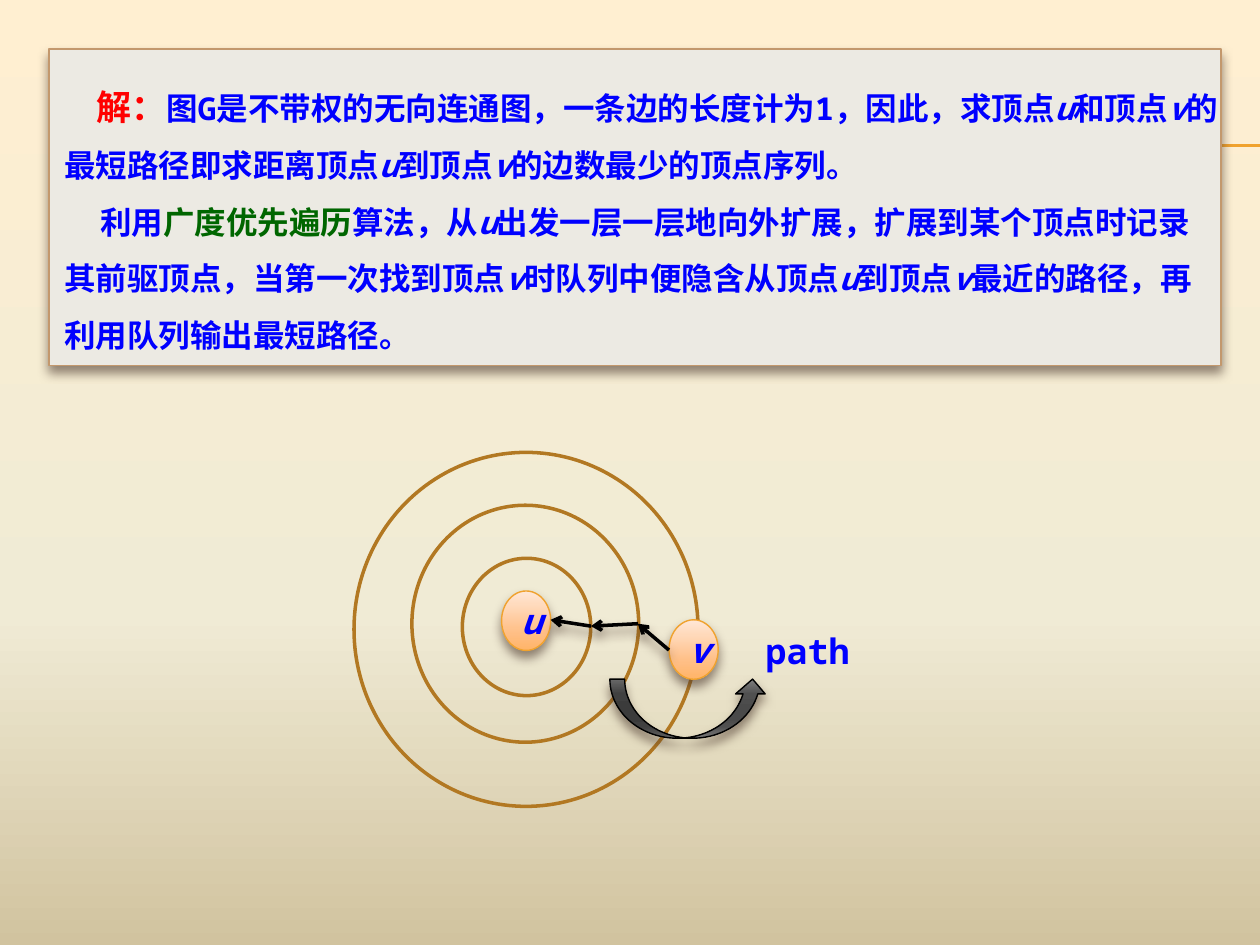
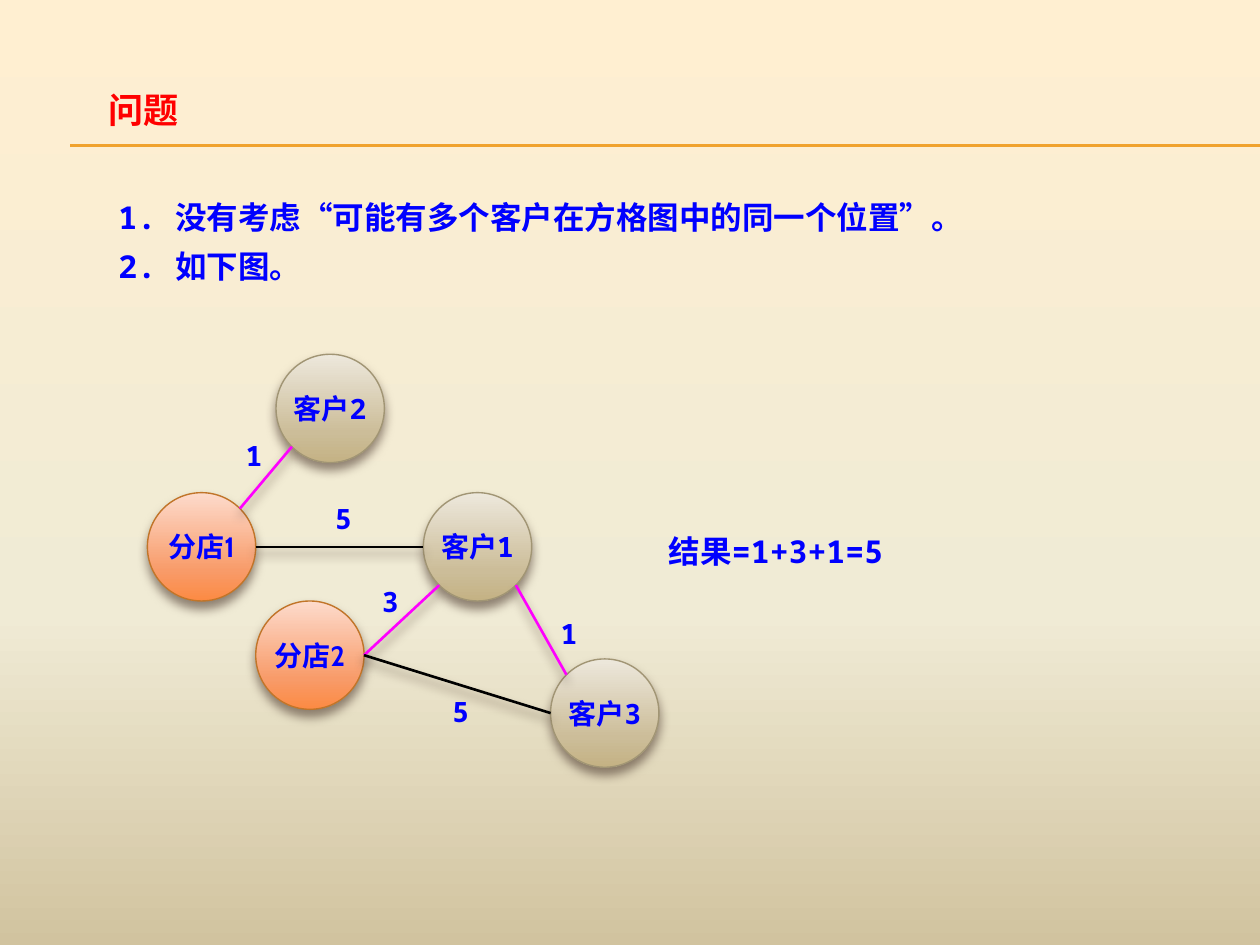
import math

import pptx
import pptx.dml.color
import pptx.enum.shapes
import pptx.enum.text
import pptx.oxml.ns
import pptx.util
from lxml import etree

Pt = pptx.util.Pt
qn = pptx.oxml.ns.qn
SHAPES = pptx.enum.shapes.MSO_SHAPE
ALIGN = pptx.enum.text.PP_ALIGN
ANCHOR = pptx.enum.text.MSO_ANCHOR

# Shared colours and fonts
BLUE, RED, GREEN, BLACK = "0000FF", "FF0000", "006600", "000000"
PINK, AMBER, BROWN, SHADOW = "FF00FF", "F0A22E", "B27822", "4E3B30"
BACKGROUND = [(0, "FFEFD1"), (65, "F0EBD5"), (100, "D1C39F")]
PEACH = [(0, "FFE7D7"), (72, "FFBE84"), (100, "FFB468")]
ORANGE = [(0, "FDDBCC"), (72, "F89B69"), (100, "FC8A43")]
TAN = [(0, "EDE8DC"), (72, "CCBD99"), (100, "C4B284")]
CHARCOAL = [(0, "828282"), (25, "505050"), (50, "4A4A4A"),
            (65, "4A4A4A"), (80, "505050"), (100, "7A7A7A")]
MONO, CJK, CABIN = "Noto Sans Mono", "Noto Sans CJK SC", "Cabin"
NODE_RADIUS = 30.95


def colour(value):
    return pptx.dml.color.RGBColor.from_string(value)


# Fills, lines, shadows
def fill_gradient(fill, stops):
    fill.gradient()
    fill.gradient_angle = 270
    stop_list = fill._fill._gradFill.find(qn("a:gsLst"))
    for stop in list(stop_list):
        stop_list.remove(stop)
    for position, value in stops:
        stop = etree.SubElement(stop_list, qn("a:gs"), pos=str(position * 1000))
        etree.SubElement(stop, qn("a:srgbClr"), val=value)


def set_line(line, value, width):
    line.color.rgb = colour(value)
    line.width = Pt(width)


def cast_shadow(shape):
    properties = shape._element.spPr
    effects = properties.find(qn("a:effectLst"))
    if effects is None:
        effects = etree.SubElement(properties, qn("a:effectLst"))
    shadow = etree.SubElement(effects, qn("a:outerShdw"), blurRad=str(Pt(6)),
                              dist=str(Pt(4)), dir="5400000", rotWithShape="0")
    tint = etree.SubElement(shadow, qn("a:srgbClr"), val=SHADOW)
    etree.SubElement(tint, qn("a:alpha"), val="60000")


# Text
def set_font(font, size, value=BLUE, name=MONO):
    font.size = Pt(size)
    font.bold = True
    font.color.rgb = colour(value)
    font.name = name
    etree.SubElement(font._element, qn("a:ea"), typeface=CJK)


def set_frame(frame, insets=(0, 0, 0, 0), anchor=ANCHOR.TOP):
    frame.word_wrap = True
    frame.vertical_anchor = anchor
    (frame.margin_left, frame.margin_top,
     frame.margin_right, frame.margin_bottom) = map(Pt, insets)


def add_italic_runs(paragraph, text):
    """Add text in which *letters* between stars are italic."""
    for index, part in enumerate(text.split("*")):
        run = paragraph.add_run()
        run.text = part
        if index % 2:
            run.font.italic = True


def add_run(paragraph, text, size, value, name):
    run = paragraph.add_run()
    run.text = text
    set_font(run.font, size, value, name)


def add_text(slide, box, lines, size, value=BLUE, name=MONO,
             align=ALIGN.LEFT, spacing=None):
    frame = slide.shapes.add_textbox(*map(Pt, box)).text_frame
    set_frame(frame)
    for index, line in enumerate(lines):
        paragraph = frame.add_paragraph() if index else frame.paragraphs[0]
        paragraph.text = line
        paragraph.alignment = align
        if spacing:
            paragraph.line_spacing = Pt(spacing)
        set_font(paragraph.font, size, value, name)


# Shapes
def add_shape(slide, kind, box, fill, line, width=0.79, shadow=True):
    shape = slide.shapes.add_shape(kind, *map(Pt, box))
    shape.shadow.inherit = False
    if fill is None:
        shape.fill.background()
    elif isinstance(fill, str):
        shape.fill.solid()
        shape.fill.fore_color.rgb = colour(fill)
    else:
        fill_gradient(shape.fill, fill)
    set_line(shape.line, line, width)
    if shadow:
        cast_shadow(shape)
    return shape


def add_line(slide, start, end, value, width, arrow=False, shadow=True):
    line = slide.shapes.add_connector(
        pptx.enum.shapes.MSO_CONNECTOR.STRAIGHT, *map(Pt, (*start, *end)))
    set_line(line.line, value, width)
    if arrow:
        etree.SubElement(line.line._ln, qn("a:tailEnd"), type="arrow")
    if shadow:
        cast_shadow(line)
    else:
        etree.SubElement(line._element.spPr, qn("a:effectLst"))


def add_ring(slide, box):
    add_shape(slide, SHAPES.OVAL, box, None, BROWN, 2, shadow=False)


def add_vertex(slide, letter, left, top):
    vertex = add_shape(slide, SHAPES.OVAL, (left, top, 28.1, 34), PEACH, AMBER)
    set_frame(vertex.text_frame, (7.2, 3.6, 7.2, 3.6), ANCHOR.MIDDLE)
    paragraph = vertex.text_frame.paragraphs[0]
    paragraph.text = letter
    paragraph.alignment = ALIGN.CENTER
    set_font(paragraph.font, 20)
    paragraph.font.italic = True


def add_node(slide, centre, label, number, fill, line, number_font):
    box = (centre[0] - NODE_RADIUS, centre[1] - NODE_RADIUS,
           2 * NODE_RADIUS, 2 * NODE_RADIUS)
    node = add_shape(slide, SHAPES.OVAL, box, fill, line)
    set_frame(node.text_frame, (0, 3.6, 0, 3.6), ANCHOR.MIDDLE)
    paragraph = node.text_frame.paragraphs[0]
    paragraph.alignment = ALIGN.CENTER
    add_run(paragraph, label, 16, BLUE, MONO)
    add_run(paragraph, number, 16, BLUE, number_font)


def rim_point(centre, degrees):
    """Point on a node's rim, clockwise from the right."""
    angle = math.radians(degrees)
    return (centre[0] + NODE_RADIUS * math.cos(angle),
            centre[1] + NODE_RADIUS * math.sin(angle))


def add_slide(presentation):
    slide = presentation.slides.add_slide(presentation.slide_layouts[6])
    for y in (82.8, 83.5):
        add_line(slide, (40.3, y), (720, y), AMBER, 0.75, shadow=False)
    return slide


# Slide 1: shortest path by breadth-first search
def add_solution_panel(slide):
    panel = add_shape(slide, SHAPES.RECTANGLE, (28.1, 28.1, 669.6, 180.7),
                      "ECEAE3", "C3986D")
    frame = panel.text_frame
    set_frame(frame, (8.6, 8.6, 0, 8.6))
    first, second = frame.paragraphs[0], frame.add_paragraph()
    for paragraph, indent in ((first, 18.25), (second, 20.5)):
        paragraph.alignment = ALIGN.LEFT
        paragraph.line_spacing = 1.5
        paragraph._p.get_or_add_pPr().set("indent", str(Pt(indent)))
        set_font(paragraph.font, 18)
    add_run(first, "解：", 20, RED, CJK)
    add_italic_runs(first, "图G是不带权的无向连通图，一条边的长度计为1，因此，求顶点*u*和顶点"
                           "*v*的最短路径即求距离顶点*u*到顶点*v*的边数最少的顶点序列。")
    add_italic_runs(second, "利用")
    add_run(second, "广度优先遍历", 18, GREEN, CJK)
    add_italic_runs(second, "算法，从*u*出发一层一层地向外扩展，扩展到某个顶点时记录"
                            "其前驱顶点，当第一次找到顶点*v*时队列中便隐含从顶点*u*"
                            "到顶点*v*最近的路径，再利用队列输出最短路径。")


def build_search_slide(presentation):
    slide = add_slide(presentation)
    add_ring(slide, (264.2, 319, 73.4, 78.5))
    add_solution_panel(slide)
    add_vertex(slide, "u", 286.6, 337.7)
    add_ring(slide, (235.4, 288.7, 129.6, 135.4))
    add_ring(slide, (202.3, 258.5, 196.6, 202.3))
    add_vertex(slide, "v", 382.3, 354.2)

    # Path from v back to u
    steps = [(382.3, 371.5), (364.5, 356.4), (337.7, 357.8), (314.6, 354.2)]
    for start, end in zip(steps, steps[1:]):
        add_line(slide, start, end, BLACK, 2, arrow=True)
    add_shape(slide, SHAPES.CURVED_UP_ARROW, (348.5, 388.1, 90, 33.8),
              CHARCOAL, BLACK)
    add_text(slide, (433.4, 360, 56.2, 24.5), ["path"], 20, align=ALIGN.CENTER)


# Slide 2: branches and customers
def build_problem_slide(presentation):
    slide = add_slide(presentation)
    add_text(slide, (61.9, 50.4, 95.8, 24.5), ["问题"], 20, RED, CJK)
    add_text(slide, (67.7, 106.6, 528.5, 54),
             ["1. 没有考虑“可能有多个客户在方格图中的同一个位置”。", "2. 如下图。"],
             18, spacing=28)

    centres = {"客户2": (188.7, 233.4), "分店1": (115.2, 312.5),
               "分店2": (177.1, 374.4), "客户1": (272.9, 312.5),
               "客户3": (345.6, 407.5)}
    branch_style = (ORANGE, "C17529", CABIN)
    customer_style = (TAN, "A19574", MONO)
    for name, centre in centres.items():
        style = branch_style if name.startswith("分店") else customer_style
        add_node(slide, centre, name[:-1], name[-1], *style)

    # Edges: ends with rim angles, colour, distance, label position
    edges = [
        ("分店1", 0, "客户1", 180, BLACK, "5", (191.5, 286.6)),
        ("分店2", 0, "客户1", 135, PINK, "3", (218.2, 334.1)),
        ("客户1", 45, "客户3", 225, PINK, "1", (320.4, 352.1)),
        ("客户2", 135, "分店1", 315, PINK, "1", (140.4, 250.6)),
        ("分店2", 0, "客户3", 180, BLACK, "5", (258.5, 396.7)),
    ]
    for start, leave, end, arrive, value, distance, position in edges:
        add_line(slide, rim_point(centres[start], leave),
                 rim_point(centres[end], arrive), value, 1.5)
        add_text(slide, (*position, 16.6, 19.4), [distance], 16)
    add_text(slide, (382.3, 303.8, 146.2, 21.6), ["结果=1+3+1=5"], 18)


def main():
    presentation = pptx.Presentation()
    presentation.slide_width, presentation.slide_height = Pt(720), Pt(540)
    fill_gradient(presentation.slide_master.background.fill, BACKGROUND)
    build_search_slide(presentation)
    build_problem_slide(presentation)
    presentation.save("out.pptx")


if __name__ == "__main__":
    main()
